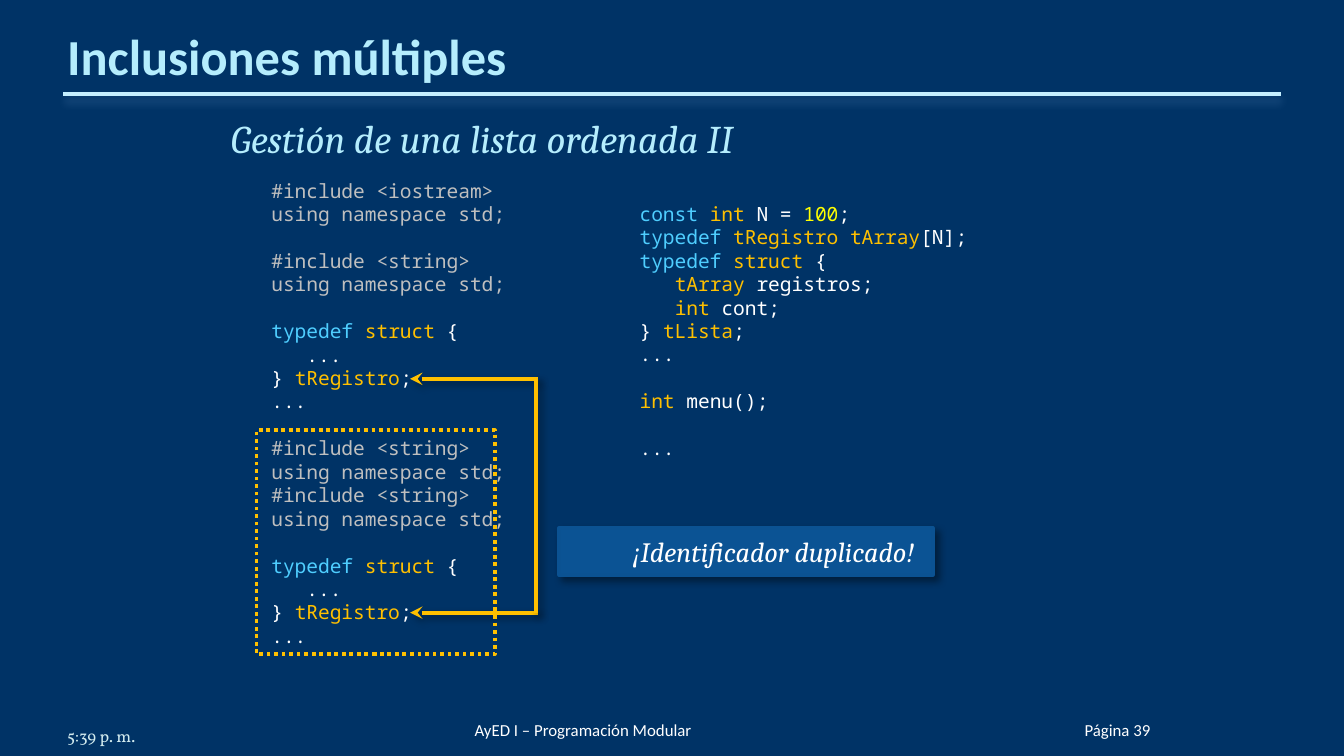
from lxml import etree
from pptx import Presentation
from pptx import util as u
from pptx.dml.color import RGBColor
from pptx.enum import dml, shapes, text
from pptx.oxml import ns

Cm, Pt = u.Cm, u.Pt
HUES = {"back": "003366", "rule": "C4EFFF", "glow": "4D7DB0", "head": "B5EDFD",
        "white": "FFFFFF", "gray": "BFBFBF", "blue": "4FCEFF", "gold": "FFC000",
        "num": "FFFF00", "badge": "0B5394", "edge": "0B5292", "date": "D1EAEE",
        "black": "000000"}
RGB = {name: RGBColor.from_string(hue) for name, hue in HUES.items()}


def style(par, face, size, hue, bold=False, italic=False):
    font = par.font
    font.name, font.size, font.bold, font.italic = face, Pt(size), bold, italic
    font.color.rgb = RGB[hue]


def shade(shape, hue, alpha, blur, angle):
    """Give a shape an outer shadow 3 pt away."""
    effect = etree.SubElement(shape._element.spPr, ns.qn("a:effectLst"))
    outer = etree.SubElement(effect, ns.qn("a:outerShdw"), blurRad=str(Pt(blur)),
                             dist=str(Pt(3)), dir=str(angle * 60000), rotWithShape="0")
    tint = etree.SubElement(outer, ns.qn("a:srgbClr"), val=HUES[hue])
    etree.SubElement(tint, ns.qn("a:alpha"), val=str(alpha * 1000))


deck = Presentation()
deck.slide_width, deck.slide_height = Cm(25.4), Cm(14.29)
slide = deck.slides.add_slide(deck.slide_layouts[1])
slide.background.fill.solid()
slide.background.fill.fore_color.rgb = RGB["back"]
items = slide.shapes

# Title and the rule below it
title = items.title
title.left, title.top, title.width, title.height = Cm(1.27), Cm(0.58), Cm(22.86), Cm(1.04)
frame = title.text_frame
frame.text = "Inclusiones múltiples"
frame.auto_size = text.MSO_AUTO_SIZE.NONE
frame.vertical_anchor = text.MSO_ANCHOR.BOTTOM
frame.margin_left = frame.margin_right = frame.margin_bottom = 0
par = frame.paragraphs[0]
par.alignment = text.PP_ALIGN.LEFT
style(par, "Calibri", 27, "head", bold=True)

rule = items.add_connector(shapes.MSO_CONNECTOR.STRAIGHT, Cm(1.2), Cm(1.78), Cm(24.2), Cm(1.78))
rule.line.color.rgb, rule.line.width = RGB["rule"], Pt(2.25)
shade(rule, "glow", 48, 4.5, 90)

# Subtitle
body = slide.placeholders[1]
body.left, body.top, body.width, body.height = Cm(4.11), Cm(2.03), Cm(17.42), Cm(10.64)
frame = body.text_frame
frame.text = "Gestión de una lista ordenada II"
frame.auto_size = text.MSO_AUTO_SIZE.NONE
par = frame.paragraphs[0]
par.space_before, par.space_after = Pt(0), Pt(9)
props = par._p.get_or_add_pPr()
props.set("marL", "0")
props.set("indent", "0")
etree.SubElement(props, ns.qn("a:buNone"))
style(par, "Cambria", 21, "head", italic=True)

# Code: each line is a list of (colour, text); None leaves a line free
using = [("gray", "using namespace std;")]
string = [("gray", "#include <string>")]
dots = [("white", "...")]
struct = [("blue", "typedef "), ("gold", "struct"), ("white", " {")]
record = [struct, [("white", "   ...")],
          [("white", "} "), ("gold", "tRegistro"), ("white", ";")], dots]
left = [[("gray", "#include <iostream>")], using, None, string, using, None, *record, None,
        string, using, string, using, None, *record]
right = [
    [("blue", "const "), ("gold", "int"), ("white", " N = "), ("num", "100"), ("white", ";")],
    [("blue", "typedef "), ("gold", "tRegistro tArray"), ("white", "[N];")],
    struct,
    [("white", "   "), ("gold", "tArray"), ("white", " registros;")],
    [("white", "   "), ("gold", "int "), ("white", "cont;")],
    [("white", "} "), ("gold", "tLista"), ("white", ";")],
    dots, None,
    [("gold", "int "), ("white", "menu();")], None,
    dots]
pitch = Pt(12.56)
for x, y, lines in ((4.88, 3.25, left), (11.84, 3.69, right)):
    box = items.add_textbox(Cm(x), Cm(y), Cm(6.95), pitch * len(lines) + Cm(0.25))
    frame = box.text_frame
    frame.word_wrap = True
    par, gap = frame.paragraphs[0], 0
    for line in lines:
        if line is None:
            gap = pitch
            continue
        if par.runs:
            par = frame.add_paragraph()
        par.line_spacing, par.space_before = pitch, gap
        gap = 0
        style(par, "Noto Sans Mono", 10.5, "white")
        for hue, word in line:
            run = par.add_run()
            run.text = word
            run.font.color.rgb = RGB[hue]

# Bracket with two arrows that joins both definitions
for x1, y1, x2, y2 in ((10.16, 7.16, 7.75, 7.16), (10.16, 11.58, 7.75, 11.58),
                       (10.13, 7.16, 10.13, 11.58)):
    link = items.add_connector(shapes.MSO_CONNECTOR.STRAIGHT, Cm(x1), Cm(y1), Cm(x2), Cm(y2))
    link.line.color.rgb, link.line.width = RGB["gold"], Pt(2.25)
    if y1 == y2:
        etree.SubElement(link._element.spPr.find(ns.qn("a:ln")), ns.qn("a:tailEnd"),
                         type="stealth")
    shade(link, "black", 40, 4, 45)

# Dotted frame around the repeated code
dotted = items.add_shape(shapes.MSO_SHAPE.RECTANGLE, Cm(4.85), Cm(8.13), Cm(4.5), Cm(4.24))
dotted.shadow.inherit = False
dotted.fill.background()
dotted.line.color.rgb, dotted.line.width = RGB["gold"], Pt(2)
dotted.line.dash_style = dml.MSO_LINE.ROUND_DOT

# Warning badge
badge = items.add_shape(shapes.MSO_SHAPE.RECTANGLE, Cm(10.57), Cm(9.98), Cm(7.06), Cm(0.89))
badge.fill.solid()
badge.fill.fore_color.rgb = RGB["badge"]
badge.line.color.rgb, badge.line.width = RGB["edge"], Pt(2)
shade(badge, "black", 40, 4, 45)
frame = badge.text_frame
frame.word_wrap = False
frame.text = "¡Identificador duplicado!"
par = frame.paragraphs[0]
par.alignment = text.PP_ALIGN.LEFT
par._p.get_or_add_pPr().set("marL", str(Cm(1.14)))
style(par, "Cambria", 15, "white", italic=True)

# Footer
for x, y, wide, words, face, hue, side in (
        (1.27, 13.34, 5.92, "5:39 p. m.", "Vollkorn", "date", text.PP_ALIGN.LEFT),
        (8.97, 13.23, 8.74, "AyED I – Programación Modular", "Calibri", "white",
         text.PP_ALIGN.LEFT),
        (19.25, 13.23, 2.49, "Página 39", "Calibri", "white", text.PP_ALIGN.RIGHT)):
    frame = items.add_textbox(Cm(x), Cm(y), Cm(wide), Cm(0.76)).text_frame
    frame.word_wrap = True
    frame.vertical_anchor = text.MSO_ANCHOR.BOTTOM
    frame.margin_left = frame.margin_right = frame.margin_top = frame.margin_bottom = 0
    frame.text = words
    frame.paragraphs[0].alignment = side
    style(frame.paragraphs[0], face, 9, hue)

deck.save("out.pptx")
